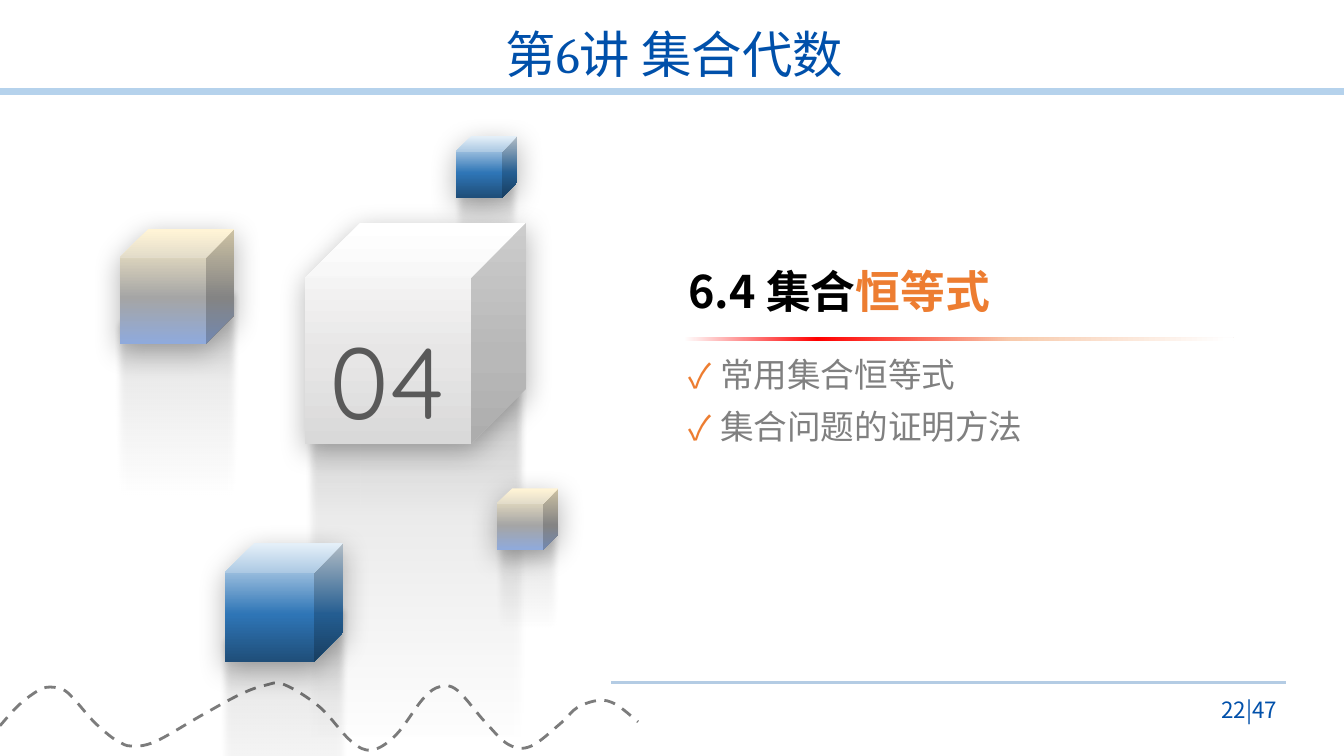
from lxml.etree import SubElement
from pptx import Presentation
from pptx.dml.color import RGBColor
from pptx.enum.dml import MSO_LINE
from pptx.enum.shapes import MSO_CONNECTOR, MSO_SHAPE
from pptx.enum.text import MSO_ANCHOR, MSO_AUTO_SIZE, PP_ALIGN
from pptx.oxml import parse_xml
from pptx.oxml.ns import nsdecls, qn
from pptx.util import Cm, Pt

NAVY = RGBColor(0x00, 0x50, 0xAA)
HEADER_BLUE = RGBColor(0xB5, 0xD2, 0xEC)
FOOTER_BLUE = RGBColor(0xB4, 0xCC, 0xE4)
ORANGE = RGBColor(0xED, 0x7D, 0x31)
BLACK = RGBColor(0x00, 0x00, 0x00)
DARK_GRAY = RGBColor(0x59, 0x59, 0x59)
WAVE_GRAY = RGBColor(0x7C, 0x7C, 0x7C)
TEXT_GRAY = RGBColor(0x80, 0x80, 0x80)
WHITE = RGBColor(0xFF, 0xFF, 0xFF)
SANS = "Noto Sans CJK SC"

# Gradients: position %, colour, opacity %
BLUE_STOPS = [(1, RGBColor(0xDE, 0xEB, 0xF7), 100), (60, RGBColor(0x2E, 0x75, 0xB6), 100),
              (100, RGBColor(0x1F, 0x4E, 0x79), 100)]
SAND_STOPS = [(1, RGBColor(0xFF, 0xF2, 0xCC), 100), (60, RGBColor(0xA5, 0xA5, 0xA5), 100),
              (100, RGBColor(0x8F, 0xAA, 0xDC), 100)]
WHITE_STOPS = [(0, WHITE, 100), (60, RGBColor(0xE7, 0xE6, 0xE6), 100),
               (100, RGBColor(0xD9, 0xD9, 0xD9), 100)]
TAIL_STOPS = [(30, BLACK, 0), (50, BLACK, 4), (70, BLACK, 8),
              (100, RGBColor(0x26, 0x26, 0x26), 30)]
RULE_STOPS = [(1, WHITE, 100), (25, RGBColor(0xFF, 0x00, 0x00), 100),
              (60, RGBColor(0xF8, 0xCB, 0xAD), 100), (99, WHITE, 100)]


def paint_gradient(shape, stops, angle):
    """Fill a shape with a linear gradient, without outline or theme shadow."""
    shape.fill.solid()
    shape.line.fill.background()
    shape.shadow.inherit = False
    stop_xml = "".join(
        f'<a:gs pos="{position * 1000}"><a:srgbClr val="{color}">'
        f'<a:alpha val="{opacity * 1000}"/></a:srgbClr></a:gs>'
        for position, color, opacity in stops)
    gradient = parse_xml(
        f'<a:gradFill rotWithShape="1" {nsdecls("a")}><a:gsLst>{stop_xml}</a:gsLst>'
        f'<a:lin ang="{angle * 60000}" scaled="0"/></a:gradFill>')
    properties = shape._element.spPr
    properties.replace(properties.find(qn("a:solidFill")), gradient)


def add_run(paragraph, text, size, color, font=SANS, bold=False):
    run = paragraph.add_run()
    run.text = text
    run.font.size = Pt(size)
    run.font.name = font
    run.font.bold = bold
    run.font.color.rgb = color
    SubElement(run._r.get_or_add_rPr(), qn("a:ea")).set("typeface", SANS)


presentation = Presentation()
presentation.slide_width = Cm(33.87)
presentation.slide_height = Cm(19.05)
slide = presentation.slides.add_slide(presentation.slide_layouts[5])

# Header and footer lines
for left, right, y, color, weight in [(0, 33.87, 2.31, HEADER_BLUE, 5),
                                      (15.4, 32.4, 17.2, FOOTER_BLUE, 1.75)]:
    line = slide.shapes.add_connector(MSO_CONNECTOR.STRAIGHT, Cm(left), Cm(y), Cm(right), Cm(y))
    line.line.color.rgb = color
    line.line.width = Pt(weight)
    SubElement(line._element.spPr, qn("a:effectLst"))

# Dashed wave through the knots, in cm
knots = [(0, 18.29), (0.43, 17.81), (0.84, 17.48), (1.17, 17.32), (1.57, 17.37), (1.85, 17.6),
         (2.34, 18.16), (2.74, 18.52), (3, 18.69), (3.3, 18.8), (3.91, 18.69), (5.11, 18.01),
         (6.05, 17.5), (6.68, 17.27), (7.16, 17.25), (8.05, 17.81), (8.84, 18.67),
         (9.37, 18.9), (9.98, 18.52), (10.67, 17.6), (11.1, 17.3), (11.53, 17.4),
         (12.24, 18.21), (12.83, 18.77), (13.39, 18.8), (14.15, 18.21), (14.55, 17.83),
         (15.09, 17.65), (15.52, 17.75), (16.08, 18.19)]
builder = slide.shapes.build_freeform(Cm(knots[0][0]), Cm(knots[0][1]))
builder.add_line_segments([(Cm(x), Cm(y)) for x, y in knots[1:]], close=False)
wave = builder.convert_to_shape()
wave.fill.background()
wave.line.color.rgb = WAVE_GRAY
wave.line.width = Pt(2)
wave.line.dash_style = MSO_LINE.DASH
wave.shadow.inherit = False

# Turn its straight segments into smooth Bézier curves
padded = [knots[0], *knots, knots[-1]]
segments = list(wave._element.iter(qn("a:lnTo")))
for segment, before, start, end, after in zip(segments, padded, padded[1:], padded[2:], padded[3:]):
    segment.tag = qn("a:cubicBezTo")
    handles = [[s + (e - b) / 6 for b, s, e in zip(before, start, end)],
               [e - (a - s) / 6 for s, e, a in zip(start, end, after)]]
    for position, (x, y) in enumerate(handles):
        point = parse_xml(f'<a:pt {nsdecls("a")} x="{Cm(x) - wave.left}" y="{Cm(y) - wave.top}"/>')
        segment.insert(position, point)

# Cubes, each with a fading tail below: left, top, size, tail width ratio, colours, label
cubes = [(11.49, 3.43, 1.55, 1.11, BLUE_STOPS, ""),
         (7.69, 5.61, 5.57, 1.01, WHITE_STOPS, "04"),
         (5.66, 13.69, 2.99, 1.11, BLUE_STOPS, ""),
         (12.52, 12.31, 1.55, 1.11, SAND_STOPS, ""),
         (3.02, 5.77, 2.89, 1.11, SAND_STOPS, "")]
for left, top, size, tail_ratio, stops, label in cubes:
    group = slide.shapes.add_group_shape()
    tail_width = size * tail_ratio
    tail = group.shapes.add_shape(
        MSO_SHAPE.CUBE, Cm(left - (tail_width - size) / 2), Cm(top + 0.51 * size),
        Cm(tail_width), Cm(2.71 * size))
    tail.rotation = 180
    paint_gradient(tail, TAIL_STOPS, 90)
    SubElement(tail._element.spPr.find(qn("a:effectLst")),
               qn("a:softEdge")).set("rad", str(Pt(5)))

    cube = group.shapes.add_shape(MSO_SHAPE.CUBE, Cm(left), Cm(top), Cm(size), Cm(size))
    paint_gradient(cube, stops, 90)
    cube._element.spPr.find(qn("a:effectLst")).append(parse_xml(
        f'<a:outerShdw blurRad="{Pt(20)}" dist="{Pt(5)}" dir="5400000" algn="t" '
        f'rotWithShape="0" {nsdecls("a")}><a:srgbClr val="000000">'
        '<a:alpha val="30000"/></a:srgbClr></a:outerShdw>'))
    if label:
        cube.text_frame.vertical_anchor = MSO_ANCHOR.MIDDLE
        paragraph = cube.text_frame.paragraphs[0]
        paragraph.alignment = PP_ALIGN.CENTER
        paragraph.line_spacing = 1.3
        add_run(paragraph, label, 72, DARK_GRAY, "Quicksand")

# Section heading with its gradient rule
heading = slide.shapes.add_textbox(Cm(17.1), Cm(6.5), Cm(14), Cm(1.63))
heading.text_frame.word_wrap = True
heading.text_frame.auto_size = MSO_AUTO_SIZE.SHAPE_TO_FIT_TEXT
heading.text_frame.vertical_anchor = MSO_ANCHOR.BOTTOM
paragraph = heading.text_frame.paragraphs[0]
add_run(paragraph, "6.4 集合", 32, BLACK, bold=True)
add_run(paragraph, "恒等式", 32, ORANGE, bold=True)

rule = slide.shapes.add_shape(MSO_SHAPE.ROUNDED_RECTANGLE, Cm(17.1), Cm(8.5), Cm(14), Cm(0.1))
rule.adjustments[0] = 0.5
paint_gradient(rule, RULE_STOPS, 0)

# Checked topics
for index, (topic, width) in enumerate([("常用集合恒等式", 14.25), ("集合问题的证明方法", 9.45)]):
    box = slide.shapes.add_textbox(Cm(17.1), Cm(8.79 + 1.32 * index), Cm(width), Cm(1.27))
    box.text_frame.word_wrap = True
    box.text_frame.auto_size = MSO_AUTO_SIZE.SHAPE_TO_FIT_TEXT
    paragraph = box.text_frame.paragraphs[0]
    properties = paragraph._p.get_or_add_pPr()
    properties.set("marL", str(Cm(0.8)))
    properties.set("indent", str(-Cm(0.8)))
    bullet_color = SubElement(properties, qn("a:buClr"))
    SubElement(bullet_color, qn("a:srgbClr")).set("val", str(ORANGE))
    SubElement(properties, qn("a:buFont")).set("typeface", SANS)
    SubElement(properties, qn("a:buChar")).set("char", "✓")
    add_run(paragraph, topic, 24, TEXT_GRAY)

# Title
title = slide.shapes.title
title.left, title.top, title.width, title.height = Cm(3.99), Cm(0.62), Cm(26.01), Cm(1.65)
title.text_frame.vertical_anchor = MSO_ANCHOR.MIDDLE
title.text_frame.auto_size = MSO_AUTO_SIZE.TEXT_TO_FIT_SHAPE
paragraph = title.text_frame.paragraphs[0]
paragraph.alignment = PP_ALIGN.CENTER
paragraph.line_spacing = 0.9
add_run(paragraph, "第6讲 集合代数", 36, NAVY, "Cambria")

# Page number
page = slide.shapes.add_textbox(Cm(29.76), Cm(17.37), Cm(2.67), Cm(1.02))
page.text_frame.word_wrap = True
page.text_frame.vertical_anchor = MSO_ANCHOR.MIDDLE
paragraph = page.text_frame.paragraphs[0]
paragraph.alignment = PP_ALIGN.RIGHT
add_run(paragraph, "22|47", 16, NAVY)

presentation.save("out.pptx")
